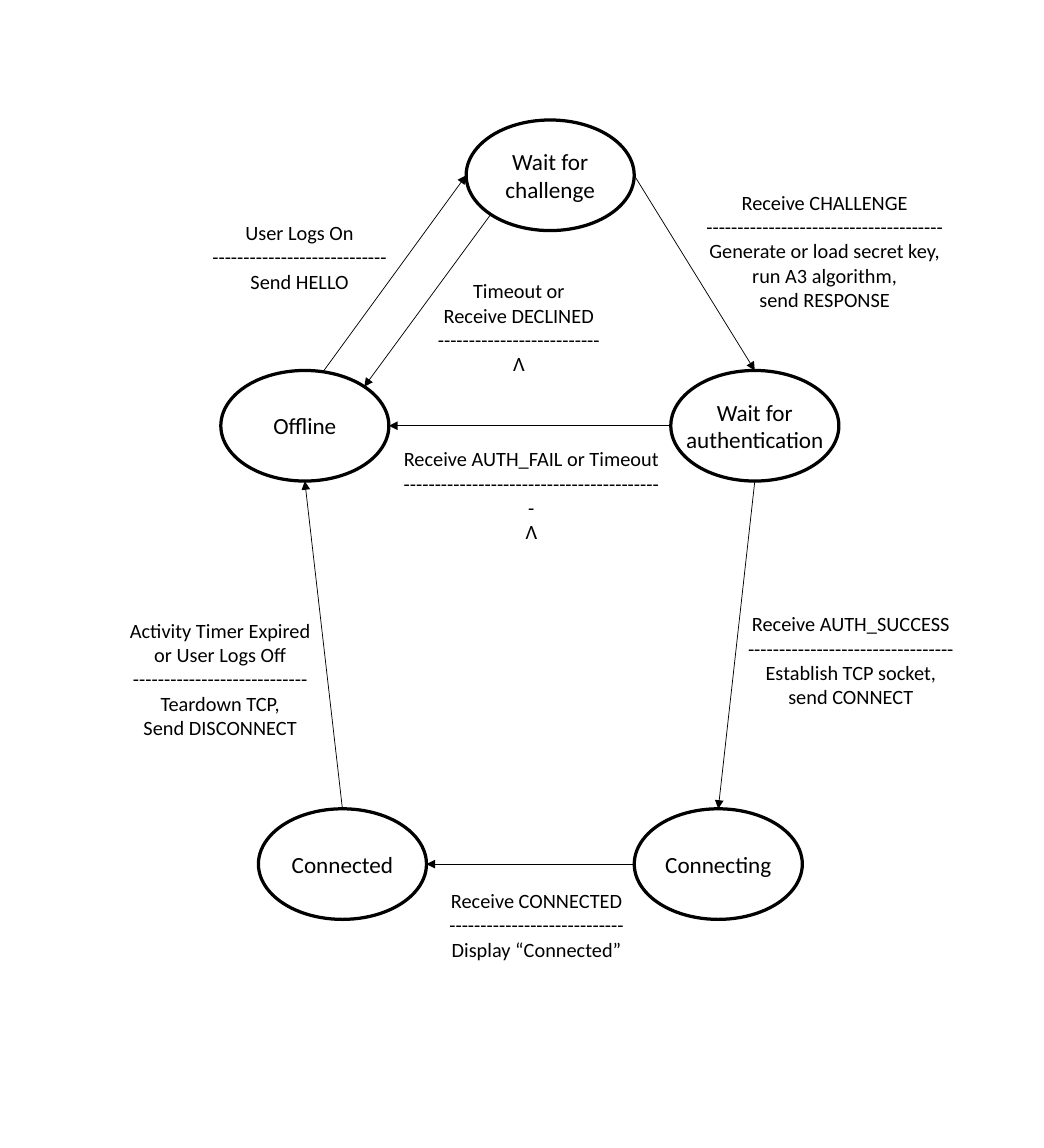
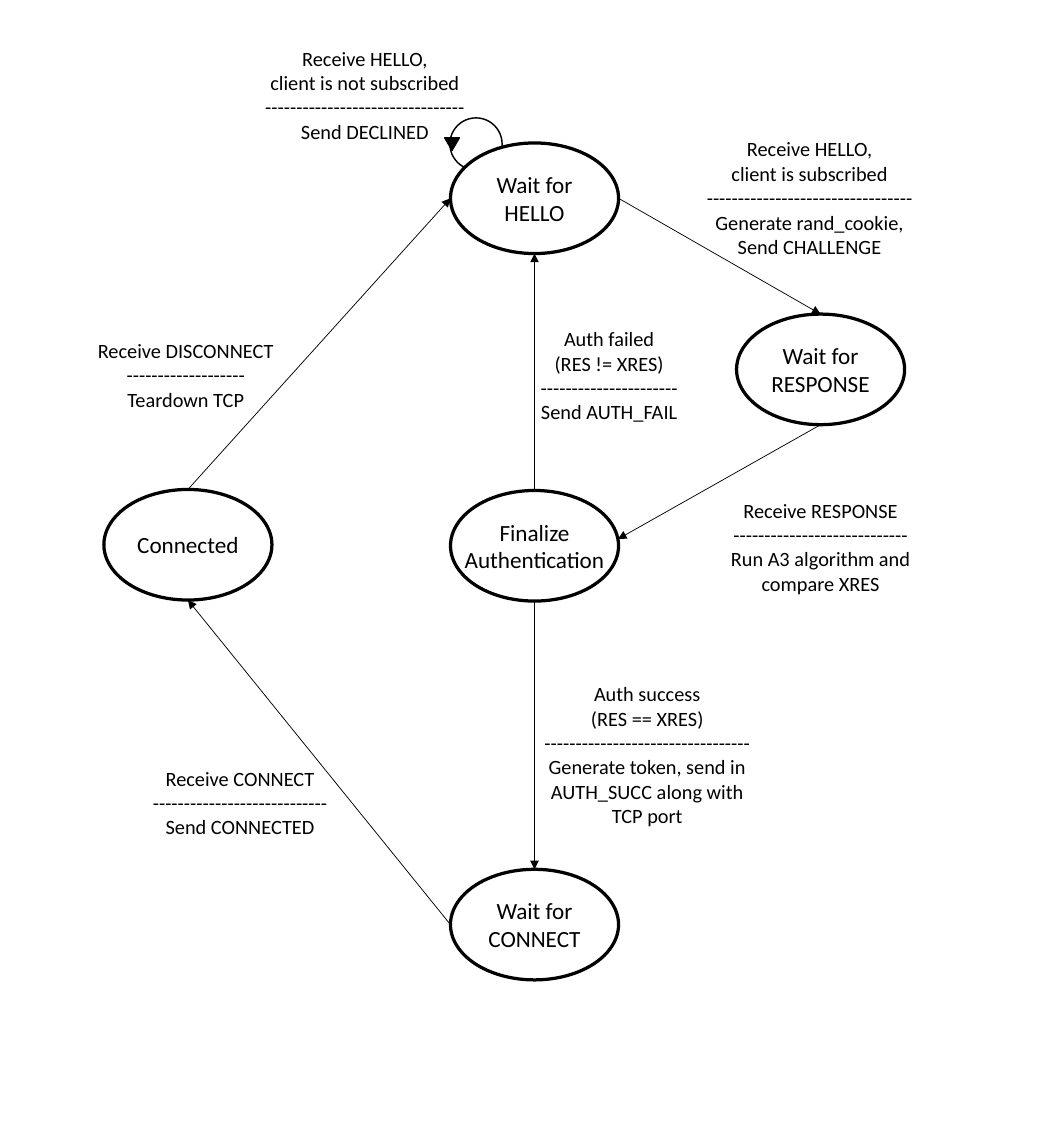
import math
from dataclasses import dataclass

import pptx
import pptx.dml.color
import pptx.enum.shapes
import pptx.enum.text
import pptx.oxml
import pptx.oxml.ns
import pptx.util

SHAPE = pptx.enum.shapes.MSO_SHAPE
ALIGN = pptx.enum.text.PP_ALIGN
ANCHOR = pptx.enum.text.MSO_ANCHOR


@dataclass(frozen=True)
class Theme:
    ink: pptx.dml.color.RGBColor = pptx.dml.color.RGBColor(0, 0, 0)
    paper: pptx.dml.color.RGBColor = pptx.dml.color.RGBColor(255, 255, 255)
    font: str = "Calibri"
    state_size: int = 16
    label_size: int = 14
    state_line: float = 2.25
    loop_line: float = 1
    arrow_line: float = 0.5


@dataclass(frozen=True)
class Grid:
    """A box of the slide divided into columns and rows."""
    left: int
    top: int
    width: int
    height: int
    columns: int = 10
    rows: int = 11

    def point(self, column, row):
        return (round(self.left + self.width * column / self.columns),
                round(self.top + self.height * row / self.rows))

    def size(self, columns, rows):
        return (round(self.width * columns / self.columns),
                round(self.height * rows / self.rows))


THEME = Theme()
STATE_COLUMNS, STATE_ROWS = 1.61, 1.06
LINE_ROWS, PADDING_ROWS = 0.235, 0.1

# Directions on a state's rim, in degrees anticlockwise from the right
RIGHT, TOP_RIGHT, TOP, LEFT, BOTTOM_LEFT, BOTTOM = 0, 45, 90, 180, 225, 270


def write(frame, text, size):
    frame.text = text
    for para in frame.paragraphs:
        para.alignment = ALIGN.CENTER
        for span in para.runs:
            span.font.name = THEME.font
            span.font.size = pptx.util.Pt(size)
            span.font.color.rgb = THEME.ink


def add_outline(page, grid, kind, center, size, weight, fill=None):
    column, row = center
    columns, rows = size
    shape = page.shapes.add_shape(
        kind, *grid.point(column - columns / 2, row - rows / 2), *grid.size(columns, rows))
    shape.shadow.inherit = False
    if fill is None:
        shape.fill.background()
    else:
        shape.fill.solid()
        shape.fill.fore_color.rgb = fill
    shape.line.color.rgb = THEME.ink
    shape.line.width = pptx.util.Pt(weight)
    return shape


def add_state(page, grid, name, center):
    oval = add_outline(page, grid, SHAPE.OVAL, center, (STATE_COLUMNS, STATE_ROWS),
                       THEME.state_line, THEME.paper)
    write(oval.text_frame, name, THEME.state_size)
    oval.text_frame.word_wrap = False
    oval.text_frame.vertical_anchor = ANCHOR.MIDDLE


def add_loop(page, grid, center):
    """A circle that leaves a state and returns to it, with its arrowhead on the left."""
    column, row = center
    diameter = 0.5
    add_outline(page, grid, SHAPE.OVAL, center, (diameter, diameter), THEME.loop_line)
    head = add_outline(page, grid, SHAPE.ISOSCELES_TRIANGLE, (column - diameter / 2 + 0.02, row),
                       (0.14, 0.12), THEME.loop_line, THEME.ink)
    head.rotation = 180


def rim(center, degrees):
    angle = math.radians(degrees)
    return (center[0] + STATE_COLUMNS / 2 * math.cos(angle),
            center[1] - STATE_ROWS / 2 * math.sin(angle))


def add_arrow(page, grid, start, end):
    arrow = page.shapes.add_connector(
        pptx.enum.shapes.MSO_CONNECTOR.STRAIGHT, *grid.point(*start), *grid.point(*end))
    arrow.line.color.rgb = THEME.ink
    arrow.line.width = pptx.util.Pt(THEME.arrow_line)
    properties = arrow.element.spPr
    head = pptx.oxml.parse_xml(f'<a:tailEnd {pptx.oxml.ns.nsdecls("a")} type="triangle"/>')
    properties.find(pptx.oxml.ns.qn("a:ln")).append(head)
    properties.append(pptx.oxml.parse_xml(f'<a:effectLst {pptx.oxml.ns.nsdecls("a")}/>'))


def add_label(page, grid, left, top, columns, event, dashes, action):
    """An event above a dashed rule, and the action it triggers below."""
    text = "\n".join((event, "-" * dashes, action))
    rows = PADDING_ROWS + LINE_ROWS * (text.count("\n") + 1)
    box = page.shapes.add_textbox(*grid.point(left, top), *grid.size(columns, rows))
    write(box.text_frame, text, THEME.label_size)
    box.text_frame.word_wrap = True
    box.text_frame.auto_size = pptx.enum.text.MSO_AUTO_SIZE.SHAPE_TO_FIT_TEXT


def draw_machine(page, grid, states, arrows, labels, loops=()):
    for center in loops:
        add_loop(page, grid, center)
    for name, center in states.items():
        add_state(page, grid, name, center)
    for source, leaving, target, arriving in arrows:
        add_arrow(page, grid, rim(states[source], leaving), rim(states[target], arriving))
    for label in labels:
        add_label(page, grid, *label)


# Client: state centres, arrows (from, side, to, side), labels (left, top, columns, text)
CHALLENGE, AUTHENTICATION = "Wait for\nchallenge", "Wait for\nauthentication"
CLIENT = dict(
    states={
        CHALLENGE: (5.27, 1.68),
        "Offline": (2.92, 4.08),
        AUTHENTICATION: (7.23, 4.08),
        "Connected": (3.28, 8.28),
        "Connecting": (6.88, 8.28),
    },
    arrows=[
        ("Connecting", LEFT, "Connected", RIGHT),
        (AUTHENTICATION, BOTTOM, "Connecting", TOP),
        ("Connected", TOP, "Offline", BOTTOM),
        (AUTHENTICATION, LEFT, "Offline", RIGHT),
        (CHALLENGE, RIGHT, AUTHENTICATION, TOP),
        ("Offline", TOP - 12.5, CHALLENGE, LEFT),
        (CHALLENGE, BOTTOM_LEFT, "Offline", TOP_RIGHT),
    ],
    labels=[
        (6.6, 1.77, 2.6, "Receive CHALLENGE", 38,
         "Generate or load secret key,\nrun A3 algorithm,\nsend RESPONSE"),
        (7.06, 5.81, 2.18, "Receive AUTH_SUCCESS", 33, "Establish TCP socket, send CONNECT"),
        (4.14, 8.46, 2, "Receive CONNECTED", 28, "Display “Connected”"),
        (1.11, 5.87, 2, "Activity Timer Expired or User Logs Off", 28,
         "Teardown TCP,\nSend DISCONNECT"),
        (3.74, 4.23, 2.7, "Receive AUTH_FAIL or Timeout", 42, "Λ"),
        (4.08, 2.62, 1.78, "Timeout or\nReceive DECLINED", 26, "Λ"),
        (1.87, 2.06, 2, "User Logs On", 28, "Send HELLO"),
    ],
)

# Server
HELLO, RESPONSE, CONNECT = "Wait for\nHELLO", "Wait for\nRESPONSE", "Wait for\nCONNECT"
FINALIZE = "Finalize\nAuthentication"
SERVER = dict(
    states={
        HELLO: (5.12, 1.9),
        RESPONSE: (7.86, 3.54),
        "Connected": (1.8, 5.22),
        FINALIZE: (5.12, 5.23),
        CONNECT: (5.12, 8.86),
    },
    arrows=[
        (RESPONSE, BOTTOM, FINALIZE, RIGHT + 7),
        ("Connected", TOP, HELLO, LEFT),
        (HELLO, RIGHT, RESPONSE, TOP),
        (FINALIZE, TOP, HELLO, BOTTOM),
        (FINALIZE, BOTTOM, CONNECT, TOP),
        (CONNECT, LEFT, "Connected", BOTTOM),
    ],
    labels=[
        (6.56, 1.26, 2.39, "Receive HELLO,\nclient is subscribed", 33,
         "Generate rand_cookie,\nSend CHALLENGE"),
        (6.77, 4.72, 2.18, "Receive RESPONSE", 28, "Run A3 algorithm and compare XRES"),
        (1.3, 7.29, 2, "Receive CONNECT", 28, "Send CONNECTED"),
        (0.43, 3.19, 2.7, "Receive DISCONNECT", 19, "Teardown TCP"),
        (5.06, 3.08, 1.55, "Auth failed\n(RES != XRES)", 22, "Send AUTH_FAIL"),
        (5.11, 6.48, 2.18, "Auth success\n(RES == XRES)", 33,
         "Generate token, send in AUTH_SUCC along with TCP port"),
        (2.3, 0.39, 2.39, "Receive HELLO,\nclient is not subscribed", 32, "Send DECLINED"),
    ],
    loops=[(4.56, 1.38)],
)

deck = pptx.Presentation()
deck.slide_width, deck.slide_height = pptx.util.Inches(10), pptx.util.Inches(11)
whole_slide = Grid(0, 0, deck.slide_width, deck.slide_height)
for machine in (CLIENT, SERVER):
    page = deck.slides.add_slide(deck.slide_layouts[6])
    draw_machine(page, whole_slide, **machine)
deck.save("out.pptx")
